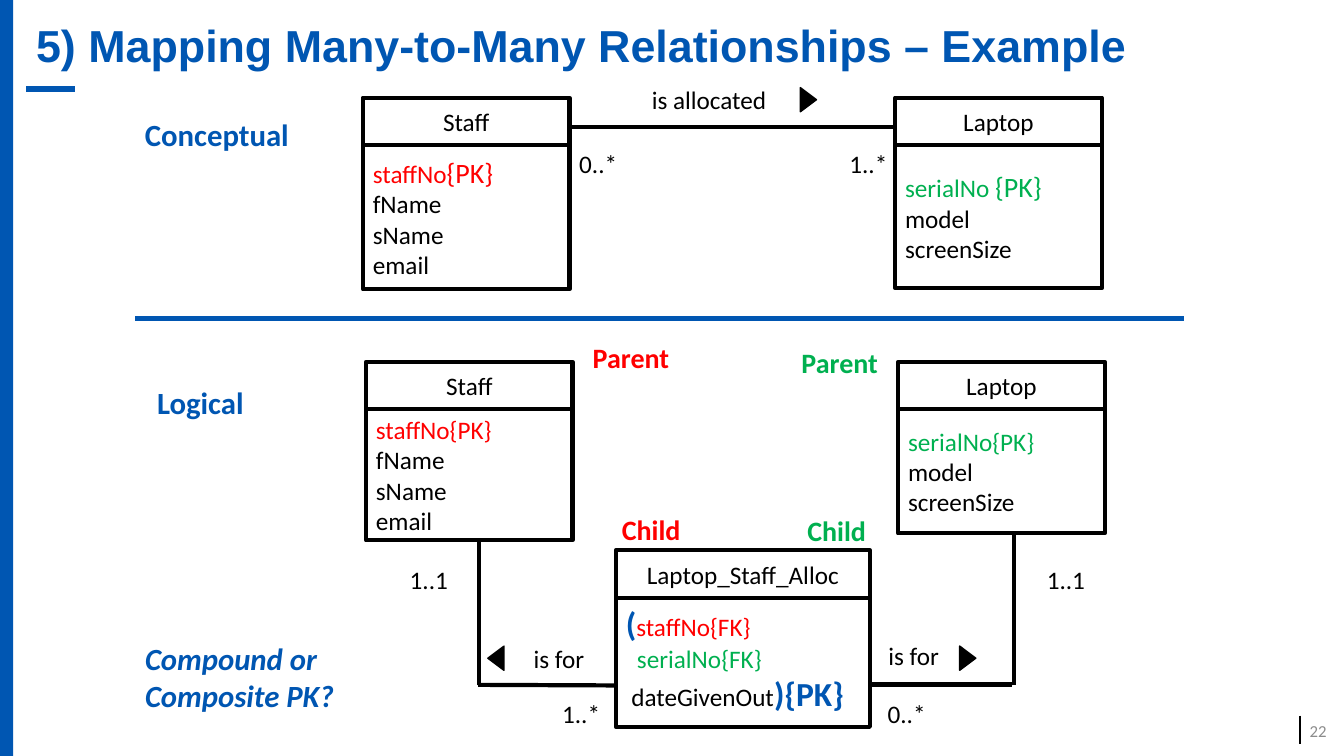
from lxml import etree
from pptx import Presentation
from pptx.dml.color import RGBColor
from pptx.enum.shapes import MSO_CONNECTOR, MSO_SHAPE
from pptx.enum.text import MSO_ANCHOR as Anchor, PP_ALIGN as Align
from pptx.oxml.ns import qn
from pptx.util import Pt

COLORS = {"blue": "0056B2", "black": "000000", "red": "FF0000",
          "green": "00B050", "gray": "8C8C8C"}
HEAD = 33.9  # height of an entity's name box


def color(name):
    return RGBColor.from_string(COLORS[name])


def style(run, size, tint="black", bold=False, italic=False, face="Calibri"):
    font = run.font
    font.name, font.size = face, Pt(size)
    font.bold, font.italic = bold, italic
    font.color.rgb = color(tint)


def add_label(slide, box, text, size=18, tint="black", align=Align.CENTER,
              anchor=Anchor.TOP, **look):
    frame = slide.shapes.add_textbox(*map(Pt, box)).text_frame
    frame.word_wrap = True
    frame.vertical_anchor = anchor
    frame.text = text
    para = frame.paragraphs[0]
    para.alignment = align
    style(para.runs[0], size, tint, **look)


def add_line(slide, start, end, tint="black", width=3):
    line = slide.shapes.add_connector(
        MSO_CONNECTOR.STRAIGHT, *map(Pt, (*start, *end)))
    line.line.color.rgb = color(tint)
    line.line.width = Pt(width)
    etree.SubElement(line._element.spPr, qn("a:effectLst"))


def add_shape(slide, kind, box, fill=None, width=0):
    shape = slide.shapes.add_shape(kind, *map(Pt, box))
    shape.shadow.inherit = False
    if fill:
        shape.fill.solid()
        shape.fill.fore_color.rgb = color(fill)
    else:
        shape.fill.background()
    if width:
        shape.line.color.rgb = color("black")
        shape.line.width = Pt(width)
    else:
        shape.line.fill.background()
    return shape


def add_pointer(slide, left, top, turn):
    """Add a small solid triangle that shows the reading direction."""
    box = (left, top, 17.3, 11.5)
    add_shape(slide, MSO_SHAPE.ISOSCELES_TRIANGLE, box, "black", 1).rotation = turn


def add_box(slide, box, rows, align, anchor):
    """Add a framed box; a row is an indent and its (text, size, ...) runs."""
    frame = add_shape(slide, MSO_SHAPE.RECTANGLE, box, width=3).text_frame
    frame.word_wrap = True
    frame.vertical_anchor = anchor
    for i, (indent, runs) in enumerate(rows):
        para = frame.add_paragraph() if i else frame.paragraphs[0]
        para.alignment = align
        if indent:
            para._p.get_or_add_pPr().set("marL", str(Pt(indent)))
        for text, *look in runs:
            run = para.add_run()
            run.text = text
            style(run, *look)


def add_entity(slide, left, top, width, depth, name, rows, anchor=Anchor.MIDDLE):
    add_box(slide, (left, top, width, HEAD), [(0, [(name, 18)])],
            Align.CENTER, Anchor.MIDDLE)
    add_box(slide, (left, top + HEAD, width, depth), rows, Align.LEFT, anchor)


def list_rows(key, *names):
    return [(0, key)] + [(0, [(name, 18)]) for name in names]


def add_frame(slide):
    add_shape(slide, MSO_SHAPE.RECTANGLE, (0, 0, 9.4, 540), "blue")
    add_line(slide, (928.8, 511.2), (928.8, 531.4), width=1.5)
    add_line(slide, (53.3, 63.4), (18.7, 63.4), "blue", 4)
    add_label(slide, (18.7, 0, 931.7, 63.4),
              "5) Mapping Many-to-Many Relationships – Example", 32, "blue",
              Align.LEFT, Anchor.MIDDLE, bold=True, face="Arial")
    add_label(slide, (924.5, 507.6, 30.2, 28.8), "22", 12, "gray",
              Align.RIGHT, Anchor.MIDDLE)
    for left, top, width, text, italic in (
            (96.5, 79.2, 152, "Conceptual", False),
            (105.1, 270.7, 152, "Logical", False),
            (96.5, 453.6, 180.7, "Compound or Composite PK?", True)):
        add_label(slide, (left, top, width, 34), text, 22, "blue",
                  Align.LEFT, bold=True, italic=italic)
    add_line(slide, (96.5, 227.5), (846, 227.5), "blue")


def add_entities(slide):
    staff = "fName", "sName", "email"
    laptop = "model", "screenSize"
    add_entity(slide, 259.2, 69.8, 147.6, 103, "Staff", list_rows(
        [("staffNo", 18, "red"), ("{PK}", 20, "red")], *staff))
    add_entity(slide, 639.4, 69.8, 147.6, 102.2, "Laptop", list_rows(
        [("serialNo ", 18, "green"), ("{PK}", 20, "green")], *laptop))
    add_entity(slide, 261.4, 258.5, 147.6, 93.6, "Staff", list_rows(
        [("staffNo{PK}", 18, "red")], *staff))
    add_entity(slide, 641.5, 258.5, 147.6, 88.6, "Laptop", list_rows(
        [("serialNo{PK}", 18, "green")], *laptop))
    add_entity(slide, 439.9, 393.1, 181.4, 92.2, "Laptop_Staff_Alloc", [
        (0, [("(", 24, "blue", True), ("staffNo{FK}", 18, "red")]),
        (8, [("serialNo{FK}", 18, "green")]),
        (4, [("dateGivenOut", 18), ("){PK}", 24, "blue", True)])], Anchor.TOP)


def add_links(slide):
    for start, end in (((407.5, 90.7), (640, 90.7)),
                       ((341.6, 489.2), (439.9, 489.6)),
                       ((342, 489.6), (342, 385.9)),
                       ((621.4, 488.9), (723, 488.9)),
                       ((724.3, 489.6), (724.3, 379.4))):
        add_line(slide, start, end)
    for left, top, width, text in (
            (435.6, 56.9, 141.8, "is allocated"),
            (348.5, 455.8, 101.5, "is for"), (601.9, 453.6, 101.5, "is for"),
            (396, 102.2, 62.6, "0..*"), (589, 102.2, 62.6, "1..*"),
            (275, 399.6, 62.6, "1..1"), (730.1, 399.6, 62.6, "1..1"),
            (383.8, 495.4, 62.6, "1..*"), (616.3, 495.4, 62.6, "0..*")):
        add_label(slide, (left, top, width, 28.8), text)
    for left, top, text, tint in (
            (383, 239.8, "Parent", "red"), (532.1, 243.4, "Parent", "green"),
            (397.4, 362.2, "Child", "red"), (529.9, 363.6, "Child", "green")):
        add_label(slide, (left, top, 135.4, 31.7), text, 20, tint, bold=True)
    for left, top, turn in ((568.8, 65.5, 90), (345.6, 464.4, 270),
                            (682.6, 464.4, 90)):
        add_pointer(slide, left, top, turn)


def main():
    deck = Presentation()
    deck.slide_width, deck.slide_height = Pt(960), Pt(540)
    slide = deck.slides.add_slide(deck.slide_layouts[6])
    add_frame(slide)
    add_links(slide)
    add_entities(slide)
    deck.save("out.pptx")


if __name__ == "__main__":
    main()
